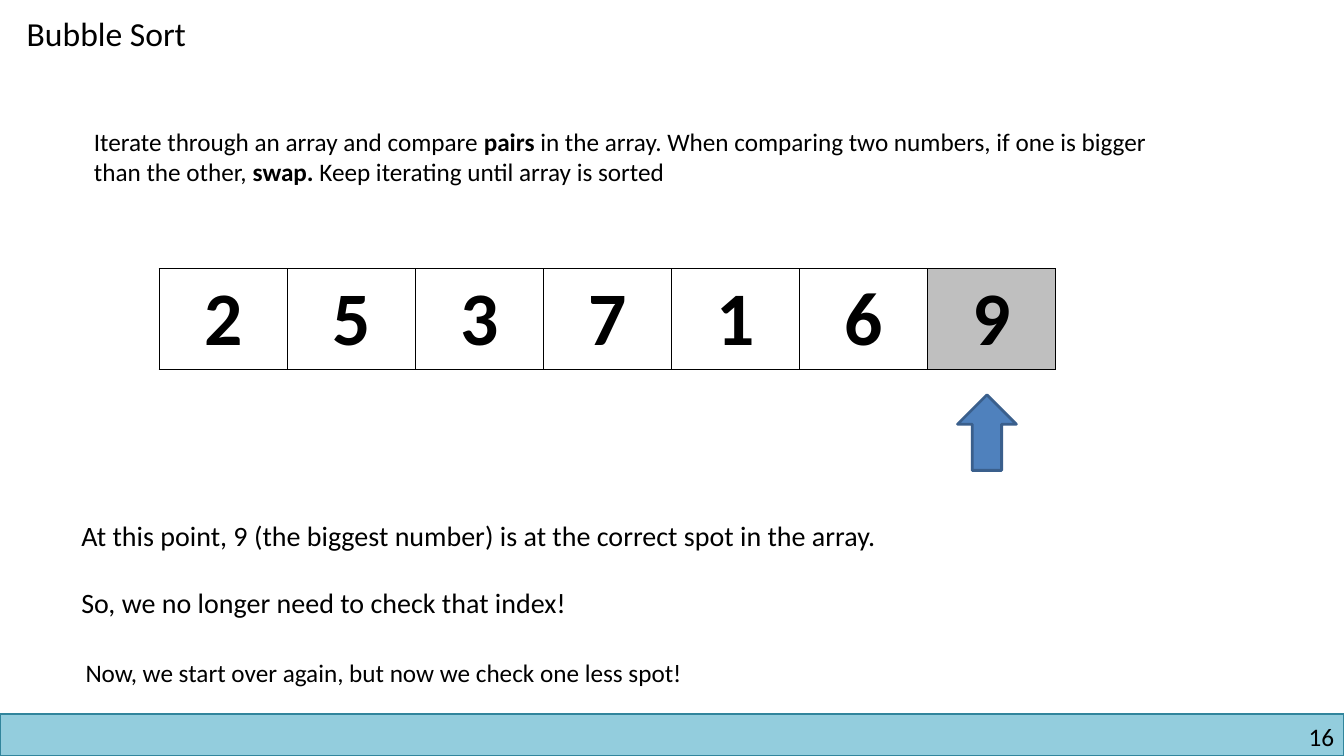
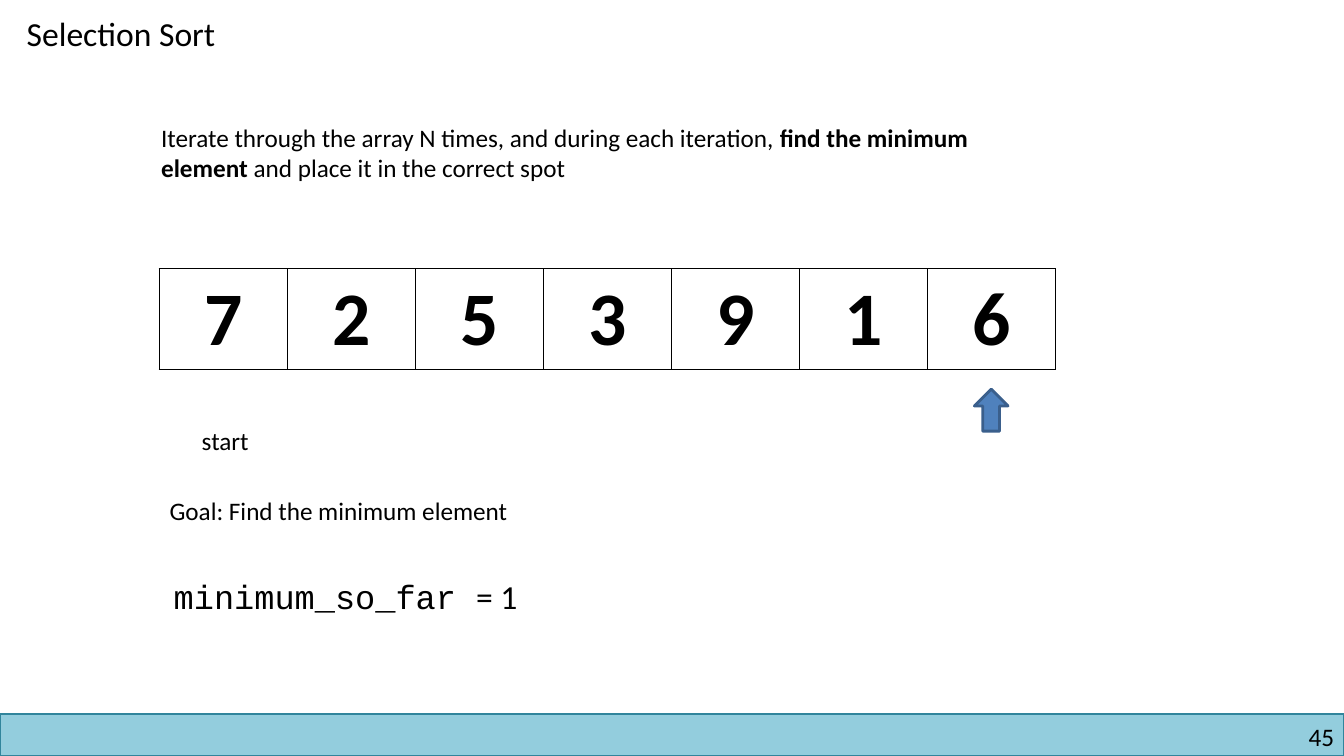
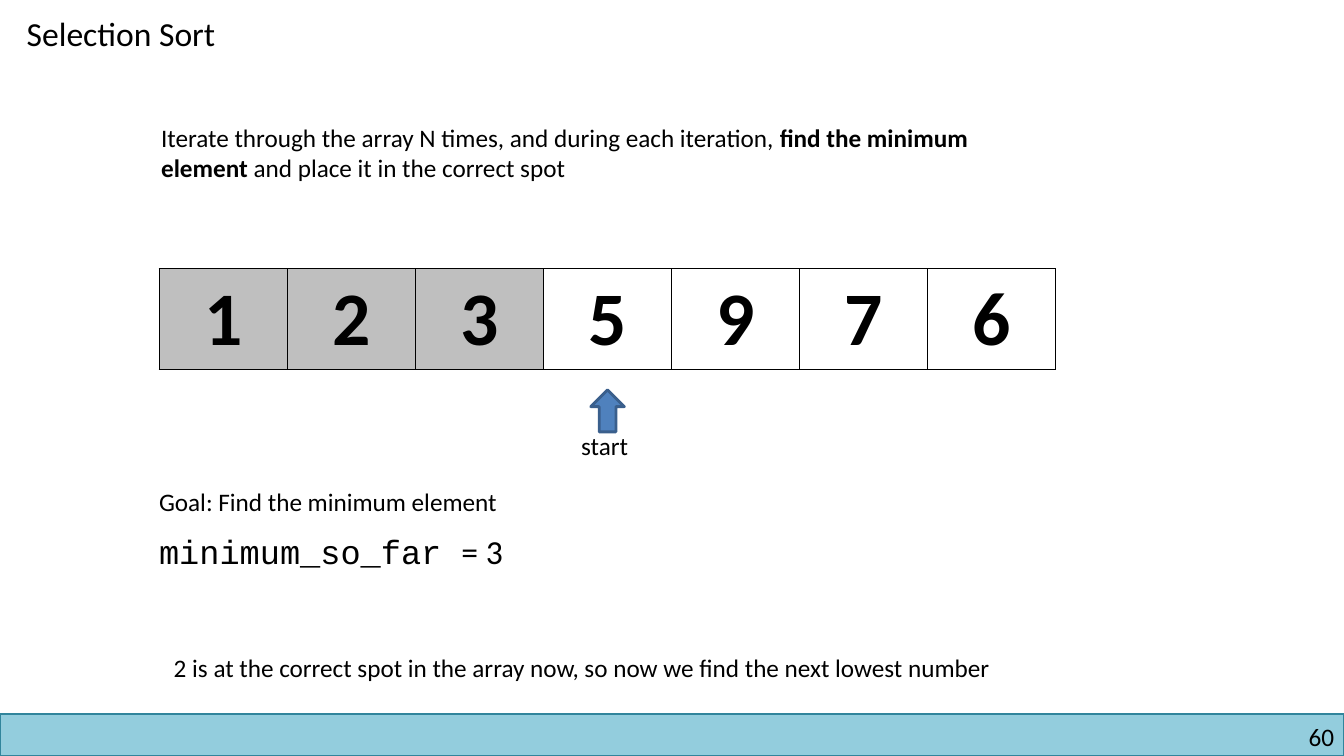
from dataclasses import dataclass
from lxml.etree import SubElement
from pptx import Presentation
from pptx.dml.color import RGBColor
from pptx.enum.shapes import MSO_SHAPE
from pptx.enum.text import PP_ALIGN
from pptx.oxml.ns import qn
from pptx.util import Pt


@dataclass(frozen=True)
class Theme:
    ink: str = "000000"
    paper: str = "FFFFFF"
    done: str = "BFBFBF"
    band: str = "93CDDD"
    edge: str = "31859C"
    arrow: str = "4F81BD"
    rim: str = "3A5F8C"
    font: str = "Calibri"
    code: str = "Courier New"
    body: int = 18
    lead: int = 20
    head: int = 24
    digit: int = 54


THEME = Theme()
WIDTH, HEIGHT = 960, 540
ARRAY = (113.8, 192, 640, 72)
BAND = (0, 510, WIDTH, 30)


def color(code):
    return RGBColor.from_string(code)


def style(run, size, bold=False, face=THEME.font):
    font = run.font
    font.size, font.bold, font.name = Pt(size), bold, face
    font.color.rgb = color(THEME.ink)


def write(slide, box, *lines, size=THEME.body, gap=0, align=PP_ALIGN.LEFT, inset=None):
    frame = slide.shapes.add_textbox(*map(Pt, box)).text_frame
    frame.word_wrap = True
    if inset is not None:
        frame.margin_left = frame.margin_right = Pt(inset)
        frame.margin_top = frame.margin_bottom = Pt(inset)
    for i, line in enumerate(lines):
        para = frame.add_paragraph() if i else frame.paragraphs[0]
        para.alignment = align
        if i:
            para.space_before = Pt(gap)
        for text, look in [(line, {})] if isinstance(line, str) else line:
            run = para.add_run()
            run.text = text
            style(run, size, **look)


def draw(slide, kind, box, fill, line, weight):
    shape = slide.shapes.add_shape(kind, *map(Pt, box))
    shape.shadow.inherit = False
    shape.fill.solid()
    shape.fill.fore_color.rgb = color(fill)
    shape.line.color.rgb = color(line)
    shape.line.width = Pt(weight)


def footer(slide, box, number):
    left, top, width, height = box
    draw(slide, MSO_SHAPE.RECTANGLE, box, THEME.band, THEME.edge, 1)
    write(slide, (left + width - 228, top + 5, 221, height - 8), number,
          align=PP_ALIGN.RIGHT, inset=0)


def border(cell):
    props = cell._tc.get_or_add_tcPr()
    for side in ("lnL", "lnR", "lnT", "lnB"):
        line = SubElement(props, qn(f"a:{side}"), w=str(Pt(1)))
        fill = SubElement(line, qn("a:solidFill"))
        SubElement(fill, qn("a:srgbClr"), val=THEME.ink)


def array(slide, box, digits, done):
    table = slide.shapes.add_table(1, len(digits), *map(Pt, box)).table
    table.first_row = table.horz_banding = False
    for i, digit in enumerate(digits):
        table.columns[i].width = Pt(box[2] / len(digits))
        cell = table.cell(0, i)
        border(cell)
        cell.fill.solid()
        cell.fill.fore_color.rgb = color(THEME.done if digit in done else THEME.paper)
        para = cell.text_frame.paragraphs[0]
        para.text = digit
        para.alignment = PP_ALIGN.CENTER
        style(para.runs[0], THEME.digit, bold=True)


def arrow(slide, box):
    draw(slide, MSO_SHAPE.UP_ARROW, box, THEME.arrow, THEME.rim, 2)


def base(deck, title, number, digits, done=""):
    slide = deck.slides.add_slide(deck.slide_layouts[6])
    footer(slide, BAND, number)
    write(slide, (12, 6, 168, 36), title, size=THEME.head)
    array(slide, ARRAY, digits, done)
    return slide


def bubble(deck):
    slide = base(deck, "Bubble Sort", "16", "2537169", "9")
    bold = {"bold": True}
    write(slide, (60, 86.4, 798, 51), [
        ("Iterate through an array and compare ", {}),
        ("pairs", bold),
        (" in the array. When comparing two numbers, if one is bigger than the other, ", {}),
        ("swap. ", bold),
        ("Keep iterating until array is sorted", {}),
    ])
    arrow(slide, (684, 282, 42, 54))
    write(slide, (51, 367, 633, 80),
          "At this point, 9 (the biggest number) is at the correct spot in the array.",
          "So, we no longer need to check that index!",
          size=THEME.lead, gap=24)
    write(slide, (54, 466, 486, 29),
          "Now, we start over again, but now we check one less spot!")


def select(deck, number, digits, done, tip, start, goal, least, value):
    slide = base(deck, "Selection Sort", number, digits, done)
    write(slide, (108, 84, 636, 51), [
        ("Iterate through the array N times, and during each iteration, ", {}),
        ("find the minimum element", {"bold": True}),
        (" and place it in the correct spot", {}),
    ])
    arrow(slide, (*tip, 24, 30))
    write(slide, (*start, 50, 29), "start")
    write(slide, (*goal, 287, 29), "Goal: Find the minimum element")
    write(slide, (*least, 267, 36),
          [("minimum_so_far ", {"face": THEME.code}), (f"= {value}", {})],
          size=THEME.head)
    return slide


def main():
    deck = Presentation()
    deck.slide_width, deck.slide_height = Pt(WIDTH), Pt(HEIGHT)
    bubble(deck)
    select(deck, "45", "7253916", "", tip=(696, 278), start=(137, 300),
           goal=(114, 350), least=(117, 408), value=1)
    last = select(deck, "60", "1235976", "123", tip=(422, 278.5), start=(408, 304),
                  goal=(106.5, 343.5), least=(106.5, 376), value=3)
    write(last, (117, 462.5, 644, 29),
          "2 is at the correct spot in the array now, so now we find the next lowest number")
    deck.save("out.pptx")


if __name__ == "__main__":
    main()
